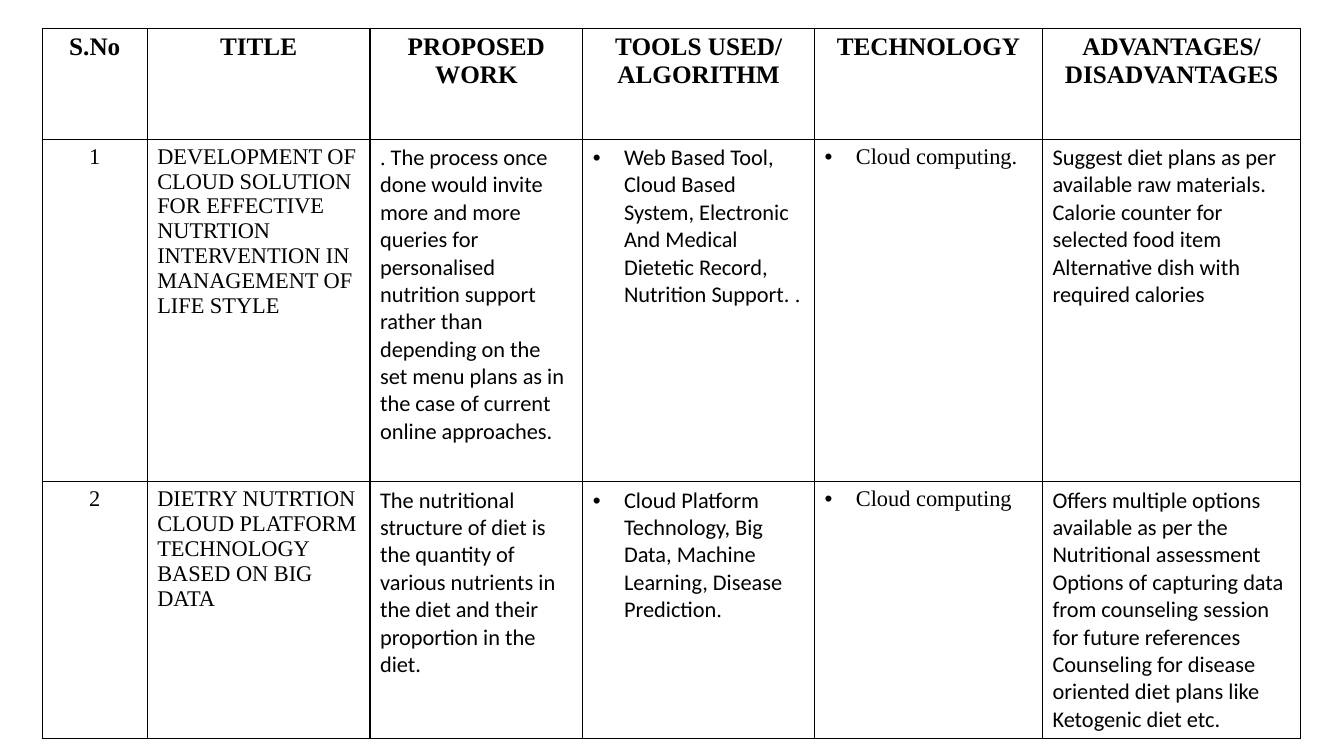
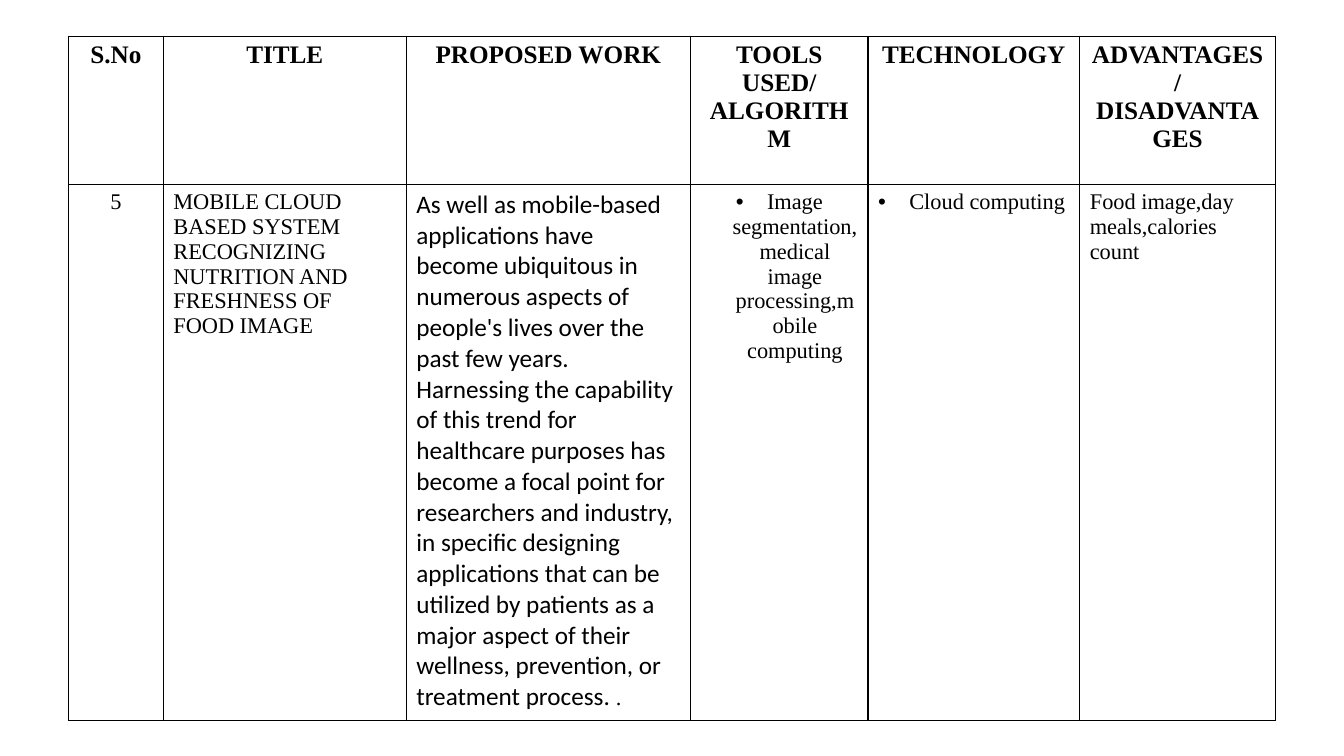
from lxml.etree import SubElement
from pptx import Presentation
from pptx.dml.color import RGBColor
from pptx.enum.text import PP_ALIGN as Align
from pptx.oxml.ns import qn
from pptx.util import Inches, Pt

COLORS = {"ink": "000000", "paper": "FFFFFF"}
SERIF, SANS = "Times New Roman", "Calibri"
HEADER_SIZE, BODY_SIZE = 18, 16
BULLET_INDENT = Inches(0.31)
NUMBER_COLUMN, TOOLS_COLUMN, TECHNOLOGY_COLUMN = 0, 3, 4
BULLET_COLUMNS = (TOOLS_COLUMN, TECHNOLOGY_COLUMN)

# A header cell is a list of paragraphs.
HEADERS = [
    ["S.No"], ["TITLE"], ["PROPOSED WORK"], ["TOOLS USED/", "ALGORITHM"],
    ["TECHNOLOGY"], ["ADVANTAGES/ DISADVANTAGES"],
]

# A body cell is a list of runs: (text, font) or (text, font, size).
SURVEY_SLIDES = [
    {
        "left": 0.42, "top": 0.28,
        "columns": [1.04, 2.21, 2.11, 2.3, 2.26, 2.56],
        "rows": [1.1, 3.4, 2.45],
        "centered": [NUMBER_COLUMN],
        "papers": [
            [
                [("1", SERIF)],
                [("DEVELOPMENT OF CLOUD SOLUTION FOR EFFECTIVE NUTRTION "
                  "INTERVENTION IN MANAGEMENT OF LIFE STYLE", SERIF)],
                [(".", SERIF),
                 (" The process once done would invite more and more queries for "
                  "personalised nutrition support rather than depending on the set "
                  "menu plans as in the case of current online approaches.", SANS)],
                [("Web Based Tool, Cloud Based System, Electronic And Medical "
                  "Dietetic Record, Nutrition Support. ", SANS), (".", SERIF)],
                [("Cloud computing.", SERIF)],
                [("Suggest diet plans as per available raw materials. Calorie "
                  "counter for selected food item Alternative dish with required "
                  "calories", SANS)],
            ],
            [
                [("2", SERIF)],
                [("DIETRY NUTRTION CLOUD PLATFORM TECHNOLOGY BASED ON BIG DATA",
                  SERIF)],
                [("The nutritional structure of diet is the quantity of various "
                  "nutrients in the diet and their proportion in the diet.", SANS)],
                [("Cloud Platform Technology, Big Data, Machine Learning, Disease "
                  "Prediction", SANS), (".", SERIF)],
                [("Cloud computing", SERIF)],
                [("Offers multiple options available as per the Nutritional "
                  "assessment Options of capturing data from counseling session for "
                  "future references Counseling for disease oriented diet plans "
                  "like Ketogenic diet etc.", SANS)],
            ],
        ],
    },
    {
        "left": 0.68, "top": 0.36,
        "columns": [0.94, 2.41, 2.82, 1.76, 2.1, 1.94],
        "rows": [1.47, 5.32],
        "centered": [NUMBER_COLUMN, TOOLS_COLUMN],
        "papers": [
            [
                [("5", SERIF)],
                [("MOBILE CLOUD BASED SYSTEM RECOGNIZING NUTRITION AND FRESHNESS "
                  "OF FOOD IMAGE", SERIF)],
                [("As well as mobile-based applications have become ubiquitous in "
                  "numerous aspects of people's lives over the past few years. "
                  "Harnessing the capability of this trend for healthcare purposes "
                  "has become a focal point for researchers and industry, in "
                  "specific designing applications that can be utilized by patients "
                  "as a major aspect of their wellness, prevention, or treatment "
                  "process. ", SANS, 18), (".", SERIF)],
                [("Image segmentation,medical image processing,mobile computing",
                  SERIF)],
                [("Cloud computing", SERIF)],
                [("Food image,day meals,calories count", SERIF)],
            ],
        ],
    },
]


def style_cell(cell):
    """Give the cell a thin border on every side and a plain fill."""
    properties = cell._tc.get_or_add_tcPr()
    for side in ("lnL", "lnR", "lnT", "lnB"):
        line = SubElement(properties, qn(f"a:{side}"), w=str(Pt(1)))
        fill = SubElement(line, qn("a:solidFill"))
        SubElement(fill, qn("a:srgbClr"), val=COLORS["ink"])
    cell.fill.solid()
    cell.fill.fore_color.rgb = RGBColor.from_string(COLORS["paper"])


def add_run(paragraph, text, font_name, size=BODY_SIZE, bold=False):
    run = paragraph.add_run()
    run.text = text
    run.font.name = font_name
    run.font.size = Pt(size)
    run.font.bold = bold
    run.font.color.rgb = RGBColor.from_string(COLORS["ink"])


def add_bullet(paragraph):
    properties = paragraph._p.get_or_add_pPr()
    properties.set("marL", str(BULLET_INDENT))
    properties.set("indent", str(-BULLET_INDENT))
    SubElement(properties, qn("a:buFont"), typeface="Arial")
    SubElement(properties, qn("a:buChar"), char="•")


def fill_header(cell, lines):
    style_cell(cell)
    text_frame = cell.text_frame
    for index, line in enumerate(lines):
        paragraph = text_frame.add_paragraph() if index else text_frame.paragraphs[0]
        paragraph.alignment = Align.CENTER
        add_run(paragraph, line, SERIF, HEADER_SIZE, bold=True)


def fill_body(cell, runs, centered, bulleted):
    style_cell(cell)
    paragraph = cell.text_frame.paragraphs[0]
    paragraph.alignment = Align.CENTER if centered else Align.LEFT
    if bulleted:
        add_bullet(paragraph)
    for run in runs:
        add_run(paragraph, *run)


def add_survey_table(slide, survey):
    columns, rows = survey["columns"], survey["rows"]
    table = slide.shapes.add_table(
        len(rows), len(columns), Inches(survey["left"]), Inches(survey["top"]),
        Inches(sum(columns)), Inches(sum(rows))).table
    table.first_row = table.horz_banding = False
    for column, width in zip(table.columns, columns):
        column.width = Inches(width)
    for row, height in zip(table.rows, rows):
        row.height = Inches(height)
    for index, lines in enumerate(HEADERS):
        fill_header(table.cell(0, index), lines)
    for row_index, paper in enumerate(survey["papers"], start=1):
        for index, runs in enumerate(paper):
            fill_body(table.cell(row_index, index), runs,
                      index in survey["centered"], index in BULLET_COLUMNS)


def main():
    presentation = Presentation()
    presentation.slide_width, presentation.slide_height = Inches(13.33), Inches(7.5)
    blank_layout = presentation.slide_layouts[6]
    for survey in SURVEY_SLIDES:
        add_survey_table(presentation.slides.add_slide(blank_layout), survey)
    presentation.save("out.pptx")


if __name__ == "__main__":
    main()
